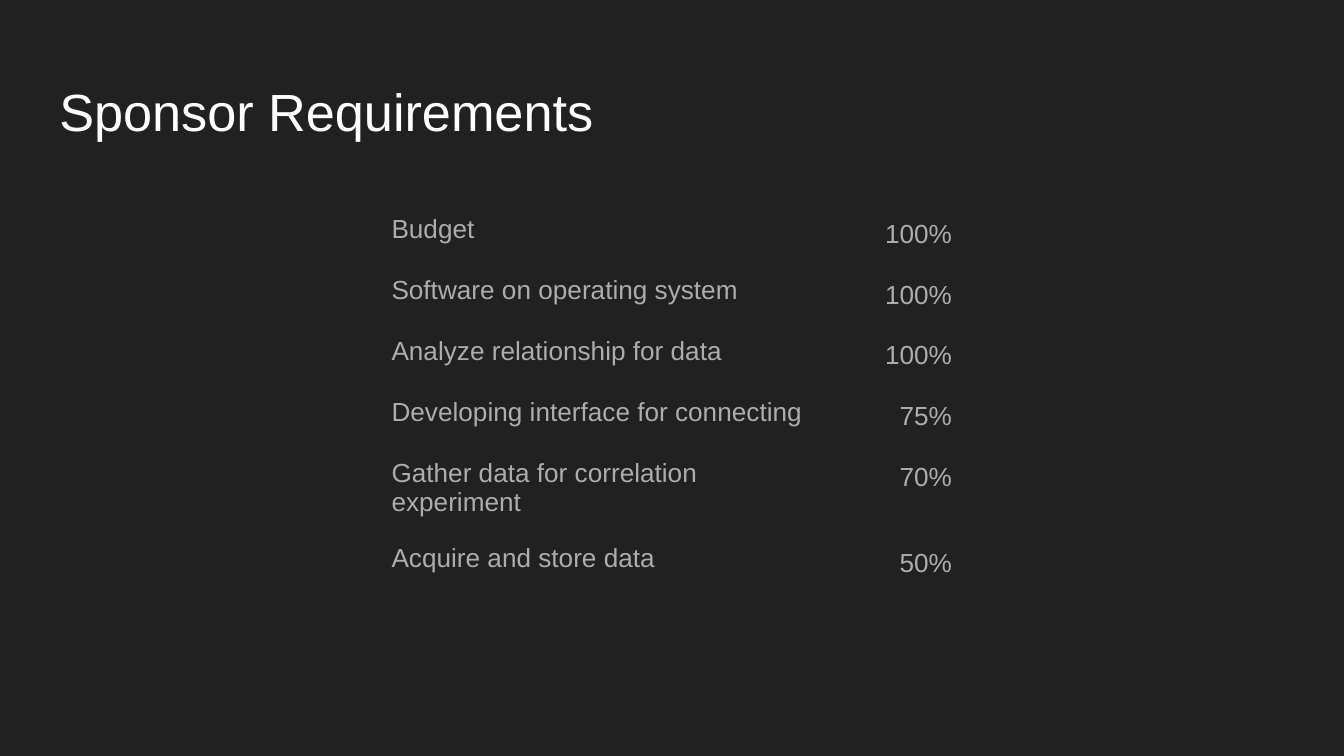
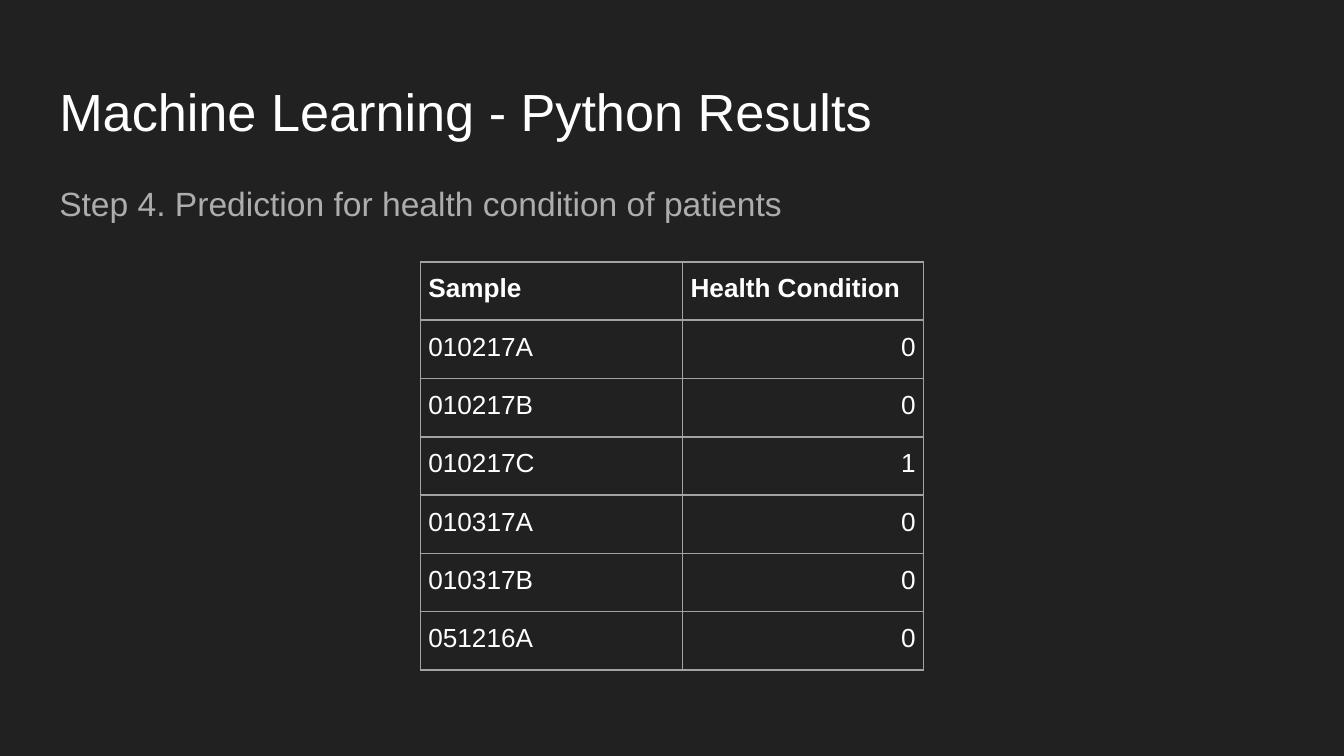
from lxml import etree
from pptx import Presentation
from pptx.dml.color import RGBColor
from pptx.enum.text import MSO_ANCHOR, MSO_AUTO_SIZE, PP_ALIGN
from pptx.oxml.ns import qn
from pptx.util import Pt

EMU_PER_PX = 3175
PAGE_WIDTH, PAGE_HEIGHT = 2880, 1620
TEXT_LEFT, TEXT_WIDTH = 98, 2684
TABLE_FRAME = 945
TITLE_ONLY = 5
LEFT, RIGHT = PP_ALIGN.LEFT, PP_ALIGN.RIGHT
TOP, NO_FIT = MSO_ANCHOR.TOP, MSO_AUTO_SIZE.NONE

BACKGROUND = RGBColor(0x21, 0x21, 0x21)
WHITE = RGBColor(0xFF, 0xFF, 0xFF)
GREY = RGBColor(0xAD, 0xAD, 0xAD)
GRID = RGBColor(0xA3, 0xA3, 0xA3)

REQUIREMENTS = [
    ("Budget", "100%"),
    ("Software on operating system", "100%"),
    ("Analyze relationship for data", "100%"),
    ("Developing interface for connecting", "75%"),
    ("Gather data for correlation experiment", "70%"),
    ("Acquire and store data", "50%"),
]
PREDICTIONS = [
    ("Sample", "Health Condition"),
    ("010217A", "0"),
    ("010217B", "0"),
    ("010217C", "1"),
    ("010317A", "0"),
    ("010317B", "0"),
    ("051216A", "0"),
]


def px(length):
    """Turn whole pixels into EMU."""
    return length * EMU_PER_PX


def set_all(target, values):
    """Set every attribute named in a dict."""
    for name, value in values.items():
        setattr(target, name, value)


def margins(inset):
    """Give the four equal margins of a text area."""
    return {f"margin_{side}": px(inset) for side in ("left", "top", "right", "bottom")}


def write(frame, text, size, color, align=LEFT, spacing=1.0, bold=False):
    """Put one formatted paragraph into a text frame."""
    para = frame.paragraphs[0]
    set_all(para, {"alignment": align, "line_spacing": spacing})
    span = para.add_run()
    span.text = text
    set_all(span.font, {"name": "Arial", "size": Pt(size), "bold": bold})
    span.font.color.rgb = color


def fill_box(box, top, height, text, size, color):
    """Place a full-width text shape and write its text."""
    set_all(box, {"left": px(TEXT_LEFT), "top": px(top),
                  "width": px(TEXT_WIDTH), "height": px(height)})
    set_all(box.text_frame, {"word_wrap": True, "auto_size": NO_FIT,
                             "vertical_anchor": TOP, **margins(29)})
    write(box.text_frame, text, size, color)


def add_page(deck, title):
    """Add a slide with the shared title style."""
    page = deck.slides.add_slide(deck.slide_layouts[TITLE_ONLY])
    fill_box(page.shapes.title, 140, 180, title, 28, WHITE)
    return page


def set_borders(cell, color):
    """Draw all four cell borders, or hide them when there is no color."""
    properties = cell._tc.get_or_add_tcPr()
    for side in "LRTB":
        line = etree.SubElement(properties, qn(f"a:ln{side}"), w=str(Pt(1)))
        if color is None:
            etree.SubElement(line, qn("a:noFill"))
        else:
            fill = etree.SubElement(line, qn("a:solidFill"))
            etree.SubElement(fill, qn("a:srgbClr"), val=str(color))


def add_grid(page, top, widths, row_height, rows, inset, border=None):
    """Add a centred plain table and return it without text."""
    left = (PAGE_WIDTH - sum(widths)) // 2
    frame = page.shapes.add_table(len(rows), len(widths), px(left), px(top),
                                  px(TABLE_FRAME), px(TABLE_FRAME))
    table = frame.table
    set_all(table, {"first_row": False, "horz_banding": False})
    for column, width in zip(table.columns, widths):
        column.width = px(width)
    for row in table.rows:
        row.height = px(row_height)
    set_all(frame, {"width": px(TABLE_FRAME), "height": px(TABLE_FRAME)})
    for cell in table.iter_cells():
        set_all(cell, {"vertical_anchor": TOP, **margins(inset)})
        set_borders(cell, border)
        cell.fill.background()
    return table


def add_requirements(page):
    """Add the borderless list of requirements and their progress."""
    table = add_grid(page, 432, (945, 314), 98, REQUIREMENTS, 29)
    for row, (name, progress) in enumerate(REQUIREMENTS):
        write(table.cell(row, 0).text_frame, name, 14, GREY)
        write(table.cell(row, 1).text_frame, progress, 14, GREY, RIGHT, 1.15)


def add_predictions(page):
    """Add the ruled table of predicted health conditions."""
    table = add_grid(page, 561, (562, 516), 125, PREDICTIONS, 17, GRID)
    for row, (sample, condition) in enumerate(PREDICTIONS):
        header = row == 0
        write(table.cell(row, 0).text_frame, sample, 14, WHITE, LEFT, 1.15, header)
        write(table.cell(row, 1).text_frame, condition, 14, WHITE,
              LEFT if header else RIGHT, 1.15, header)


def main():
    """Build and save the deck."""
    deck = Presentation()
    set_all(deck, {"slide_width": px(PAGE_WIDTH), "slide_height": px(PAGE_HEIGHT)})
    background = deck.slide_master.background.fill
    background.solid()
    background.fore_color.rgb = BACKGROUND

    add_requirements(add_page(deck, "Sponsor Requirements"))

    results = add_page(deck, "Machine Learning - Python Results")
    step = results.shapes.add_textbox(0, 0, 0, 0)
    fill_box(step, 363, 1076,
             "Step 4. Prediction for health condition of patients", 18, GREY)
    add_predictions(results)
    deck.save("out.pptx")


if __name__ == "__main__":
    main()
